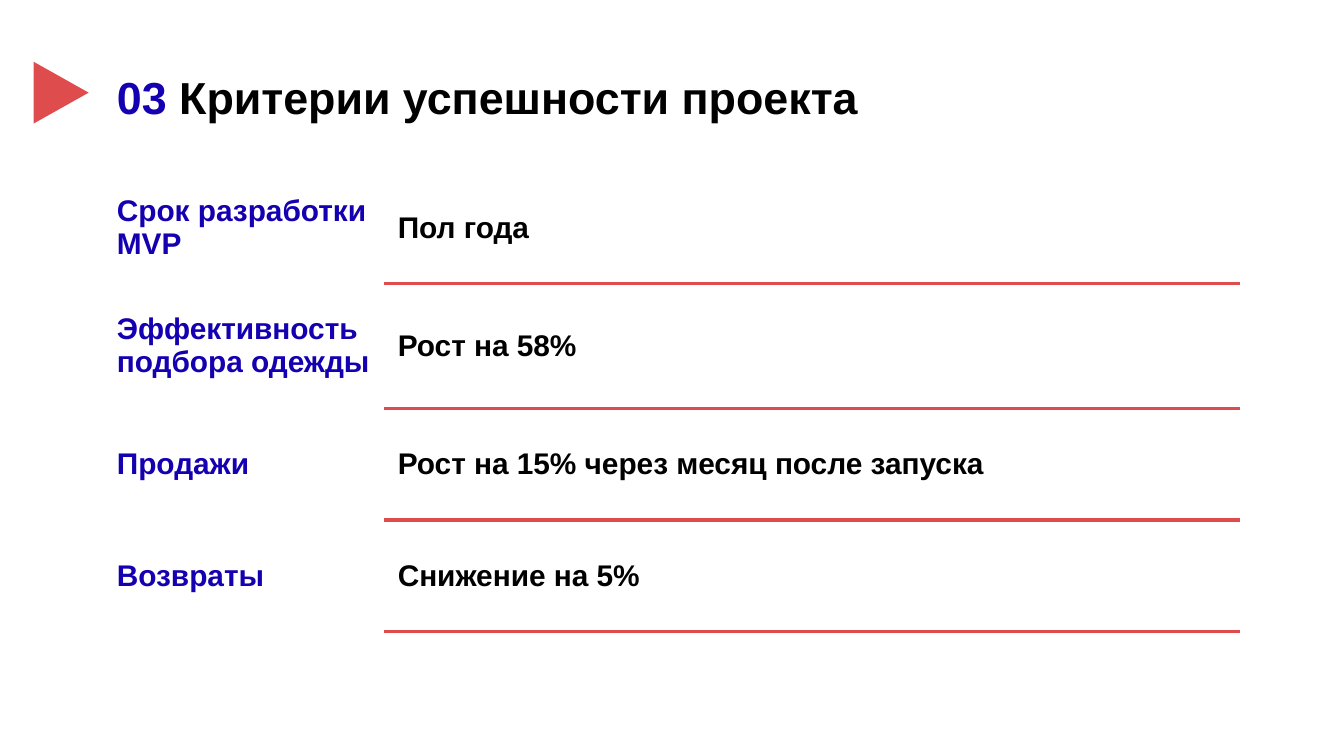
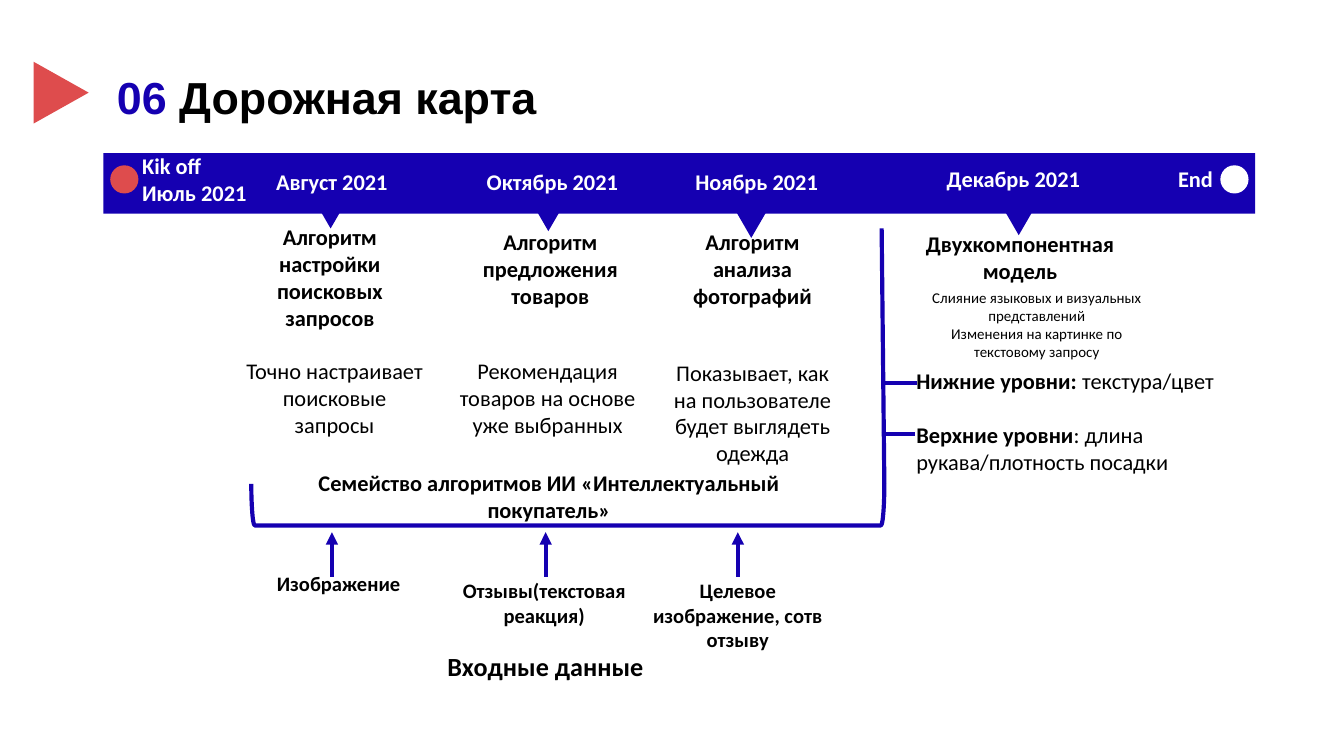
"""Build two project slides: success criteria and roadmap."""
from lxml import etree
from pptx import Presentation
from pptx.dml.color import RGBColor
from pptx.enum import shapes, text
from pptx.oxml import ns
from pptx.util import Inches, Pt

COLORS = {"blue": "1500B1", "red": "DE4C4D", "black": "000000", "white": "FFFFFF"}
LEFT, CENTER = text.PP_ALIGN.LEFT, text.PP_ALIGN.CENTER
TOP, MIDDLE = text.MSO_ANCHOR.TOP, text.MSO_ANCHOR.MIDDLE
LINE_WIDTH = Pt(2.25)


def write(frame, *lines, size=12, font="Calibri", color="black", bold=True,
          align=CENTER, anchor=TOP, gap=0):
    frame.word_wrap = True
    frame.auto_size = text.MSO_AUTO_SIZE.NONE
    frame.vertical_anchor = anchor
    frame.margin_left = frame.margin_right = Inches(0.1)
    frame.margin_top = frame.margin_bottom = Inches(0.1)
    for index, line in enumerate(lines):
        paragraph = frame.add_paragraph() if index else frame.paragraphs[0]
        paragraph.alignment = align
        paragraph.space_before = Pt(gap if index else 0)
        for words, changes in [(line, {})] if isinstance(line, str) else line:
            run = paragraph.add_run()
            run.text = words
            run.font.name = font
            run.font.size = Pt(size)
            run.font.bold = changes.get("bold", bold)
            run.font.color.rgb = RGBColor.from_string(COLORS[changes.get("color", color)])


def paint(shape, color):
    shape.shadow.inherit = False
    shape.fill.solid()
    shape.fill.fore_color.rgb = RGBColor.from_string(COLORS[color])
    shape.line.fill.background()


deck = Presentation()
deck.slide_width = Inches(10)
deck.slide_height = deck.slide_width * 9 // 16

pages = []
for number, heading in [("03 ", "Критерии успешности проекта"), ("06 ", "Дорожная карта")]:
    page = deck.slides.add_slide(deck.slide_layouts[5])
    marker = page.shapes.build_freeform(Inches(0.25), Inches(0.46), scale=1)
    marker.add_line_segments([(Inches(0.25), Inches(0.92)), (Inches(0.66), Inches(0.69))])
    paint(marker.convert_to_shape(), "red")
    title = page.shapes.title
    title.left, title.top = Inches(0.77), Inches(0.4)
    title.width, title.height = Inches(8.45), Inches(0.63)
    write(title.text_frame, [(number, {"color": "blue"}), (heading, {})],
          size=24, font="Arial", align=LEFT, anchor=MIDDLE)
    pages.append(page)
criteria_page, roadmap = pages

criteria = [
    ("Срок разработки MVP", "Пол года", 0.83),
    ("Эффективность подбора одежды", "Рост на 58%", 0.93),
    ("Продажи", "Рост на 15% через месяц после запуска", 0.83),
    ("Возвраты", "Снижение на 5%", 0.83),
]
criteria_table = criteria_page.shapes.add_table(
    len(criteria), 2, Inches(0.77), Inches(1.28), Inches(8.45), Inches(3.42)).table
criteria_table.first_row = criteria_table.horz_banding = False
criteria_table.columns[0].width = Inches(2.09)
criteria_table.columns[1].width = Inches(6.36)
for row, (criterion, target, height) in enumerate(criteria):
    criteria_table.rows[row].height = Inches(height)
    for column, (words, color) in enumerate([(criterion, "blue"), (target, "black")]):
        cell = criteria_table.cell(row, column)
        cell.fill.solid()
        cell.fill.fore_color.rgb = RGBColor.from_string(COLORS["white"])
        write(cell.text_frame, words, size=16, font="Arial", color=color, align=LEFT)
        cell.vertical_anchor = MIDDLE
        cell.margin_left = cell.margin_right = Inches(0.1)
        cell.margin_top = cell.margin_bottom = Inches(0.1)
    properties = cell._tc.get_or_add_tcPr()
    for side in ["a:lnB", "a:lnT"] if row else ["a:lnB"]:
        border = etree.Element(ns.qn(side), w=str(LINE_WIDTH))
        border_fill = etree.SubElement(border, ns.qn("a:solidFill"))
        etree.SubElement(border_fill, ns.qn("a:srgbClr"), val=COLORS["red"])
        properties.insert(0, border)

for kind, color, left, top, width, height in [
    (shapes.MSO_SHAPE.RECTANGLE, "blue", 0.77, 1.14, 8.57, 0.45),
    (shapes.MSO_SHAPE.OVAL, "red", 0.82, 1.23, 0.21, 0.21),
    (shapes.MSO_SHAPE.OVAL, "white", 9.08, 1.23, 0.21, 0.21),
]:
    paint(roadmap.shapes.add_shape(
        kind, Inches(left), Inches(top), Inches(width), Inches(height)), color)

for middle, top in [(2.46, 1.51), (4.08, 1.53), (5.59, 1.58), (7.58, 1.56)]:
    pointer = roadmap.shapes.build_freeform(Inches(middle - 0.11), Inches(top), scale=1)
    pointer.add_line_segments([(Inches(middle + 0.11), Inches(top)),
                               (Inches(middle), Inches(top + 0.19))])
    paint(pointer.convert_to_shape(), "blue")

date = {"color": "white"}
detail = {"bold": False}
source = {"size": 11}
for left, top, width, height, lines, style in [
    (0.96, 1.03, 1.57, 0.39, ["Kik off", "Июль 2021"], {"color": "white", "align": LEFT}),
    (1.95, 1.15, 1.04, 0.39, ["Август 2021"], date),
    (3.5, 1.15, 1.22, 0.39, ["Октябрь 2021"], date),
    (5.02, 1.15, 1.22, 0.39, ["Ноябрь 2021"], date),
    (6.93, 1.13, 1.22, 0.39, ["Декабрь 2021"], date),
    (8.65, 1.13, 0.49, 0.39, ["End"], date),
    (1.63, 1.56, 1.65, 0.63, ["Алгоритм настройки поисковых запросов"], {}),
    (3.32, 1.6, 1.55, 0.63, ["Алгоритм предложения товаров"], {}),
    (4.92, 1.6, 1.36, 0.63, ["Алгоритм анализа фотографий"], {}),
    (6.72, 1.61, 1.74, 0.63, ["Двухкомпонентная модель"], {}),
    (1.7, 2.56, 1.58, 0.63, ["Точно настраивает поисковые запросы"], detail),
    (3.3, 2.56, 1.55, 0.63, ["Рекомендация товаров на основе уже выбранных"], detail),
    (4.88, 2.57, 1.44, 0.63,
     ["Показывает, как на пользователе будет выглядеть одежда"], detail),
    (6.76, 2.05, 1.91, 0.51,
     ["Слияние языковых и визуальных представлений",
      "Изменения на картинке по текстовому запросу"], {"size": 8, "bold": False}),
    (6.72, 2.63, 2.93, 0.63,
     [[("Нижние уровни: ", {}), ("текстура/цвет", detail)],
      [("Верхние уровни", {}), (": длина рукава/плотность посадки", detail)]],
     {"align": LEFT, "gap": 14.6}),
    (1.94, 3.39, 4.29, 0.51,
     ["Семейство алгоритмов ИИ «Интеллектуальный покупатель»"], {}),
    (1.91, 4.15, 1.22, 0.45, ["Изображение"], source),
    (3.26, 4.2, 1.58, 0.63, ["Отзывы(текстовая реакция)"], source),
    (4.7, 4.2, 1.58, 0.73, ["Целевое изображение, сотв отзыву"], source),
    (3.23, 4.74, 1.72, 0.39, ["Входные данные"], {"size": 14, "align": LEFT}),
]:
    label = roadmap.shapes.add_textbox(Inches(left), Inches(top), Inches(width), Inches(height))
    write(label.text_frame, *lines, **style)

family = roadmap.shapes.add_shape(
    shapes.MSO_SHAPE.LEFT_BRACKET, Inches(4.07), Inches(1.4), Inches(0.31), Inches(4.71))
family.rotation = 270
family.shadow.inherit = False
family.fill.background()
family.line.color.rgb = RGBColor.from_string(COLORS["blue"])
family.line.width = LINE_WIDTH

inputs = [(middle, 4.29, middle, 3.96, True) for middle in (2.47, 4.06, 5.49)]
levels = [(6.57, 2.85, 6.82, 2.85, False), (6.56, 3.23, 6.81, 3.23, False)]
for x1, y1, x2, y2, arrow in [*inputs, (6.56, 1.7, 6.58, 3.6, False), *levels]:
    link = roadmap.shapes.add_connector(
        shapes.MSO_CONNECTOR.STRAIGHT, Inches(x1), Inches(y1), Inches(x2), Inches(y2))
    link.line.color.rgb = RGBColor.from_string(COLORS["blue"])
    link.line.width = LINE_WIDTH
    if arrow:
        etree.SubElement(link.line._get_or_add_ln(), ns.qn("a:tailEnd"), type="triangle")
    etree.SubElement(link._element.spPr, ns.qn("a:effectLst"))

deck.save("out.pptx")
